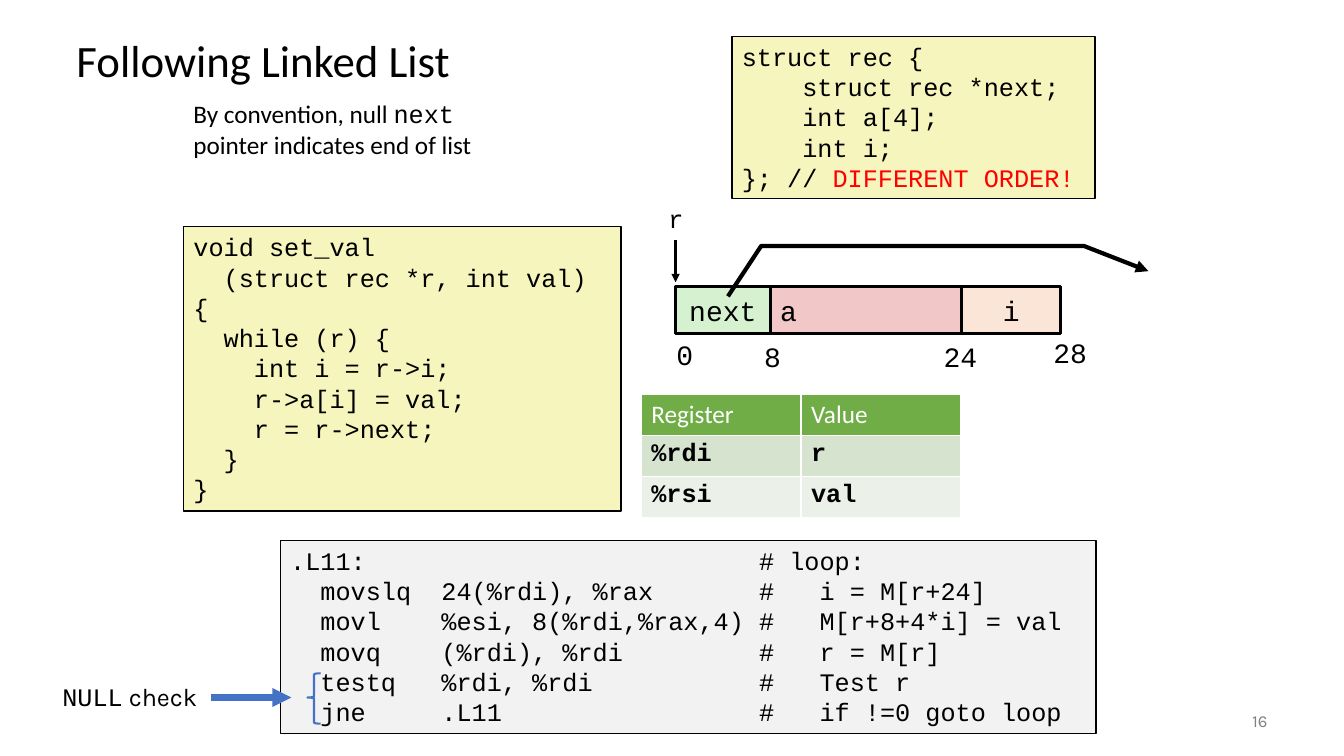
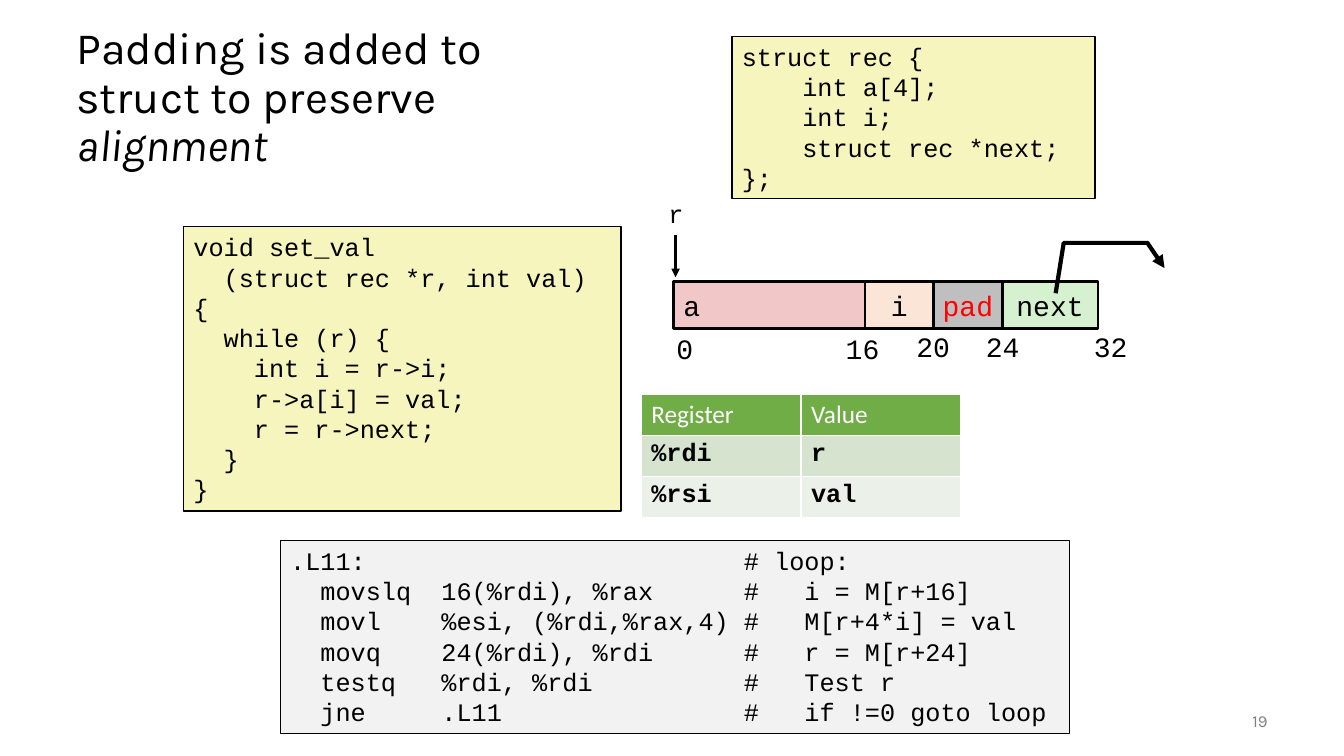
from lxml.etree import SubElement
from pptx import Presentation
from pptx.dml.color import RGBColor
from pptx.enum.shapes import MSO_CONNECTOR, MSO_SHAPE
from pptx.enum.text import MSO_ANCHOR, PP_ALIGN
from pptx.oxml.ns import qn
from pptx.util import Emu, Pt

# Shared look
EMU_PER_PX = 9144  # 100 px to the inch
SANS, MONO, KARLA = "Calibri", "Courier New", "Karla"
BLACK, WHITE, RED, BLUE, GREY = "000000", "FFFFFF", "FF0000", "4472C4", "808080"
CODE_FILL, ASSEMBLY_FILL = "F6F5BD", "F2F2F2"
ARRAY_FILL, INDEX_FILL, NEXT_FILL, PAD_FILL = "F1C7C7", "FBE5D6", "D5F1CF", "BFBFBF"
ROW_FILLS = ["70AD47", "D5E3CF", "EBF1E9"]

# Shared content
SET_VAL = """void set_val
  (struct rec *r, int val)
{
  while (r) {
    int i = r->i;
    r->a[i] = val;
    r = r->next;
  }
}"""
REGISTERS = [("Register", "Value"), ("%rdi", "r"), ("%rsi", "val")]

# Code of the first slide
NEXT_FIRST_STRUCT = """struct rec {
    struct rec *next;
    int a[4];
    int i;"""
NEXT_FIRST_ASSEMBLY = """.L11:                          # loop:
  movslq  24(%rdi), %rax       #   i = M[r+24]
  movl    %esi, 8(%rdi,%rax,4) #   M[r+8+4*i] = val
  movq    (%rdi), %rdi         #   r = M[r]
  testq   %rdi, %rdi           #   Test r
  jne     .L11                 #   if !=0 goto loop"""

# Code of the second slide
NEXT_LAST_STRUCT = """struct rec {
    int a[4];
    int i;
    struct rec *next;
};"""
NEXT_LAST_ASSEMBLY = """.L11:                         # loop:
  movslq  16(%rdi), %rax      #   i = M[r+16]
  movl    %esi, (%rdi,%rax,4) #   M[r+4*i] = val
  movq    24(%rdi), %rdi      #   r = M[r+24]
  testq   %rdi, %rdi          #   Test r
  jne     .L11                #   if !=0 goto loop"""


def px(*lengths):
    return [Emu(length * EMU_PER_PX) for length in lengths]


def rgb(value):
    return RGBColor.from_string(value)


def set_font(font, name=None, size=None, color=None, bold=None, italic=None):
    if name:
        font.name = name
    if size:
        font.size = Pt(size)
    if color:
        font.color.rgb = rgb(color)
    if bold is not None:
        font.bold = bold
    if italic is not None:
        font.italic = italic


def write(frame, lines, name=MONO, size=18, color=BLACK, align=PP_ALIGN.LEFT,
          bold=None, spacing=None):
    """Each line is a string or a list of (text, font changes) spans."""
    for number, line in enumerate(lines):
        para = frame.add_paragraph() if number else frame.paragraphs[0]
        para.alignment = align
        if spacing:
            para.line_spacing = spacing
        set_font(para.font, name, size, color, bold)
        for text, changes in [(line, {})] if isinstance(line, str) else line:
            span = para.add_run()
            span.text = text
            set_font(span.font, **changes)


def add_text(page, area, lines, wrap=True, anchor=MSO_ANCHOR.TOP, **style):
    frame = page.shapes.add_textbox(*px(*area)).text_frame
    frame.word_wrap = wrap
    frame.vertical_anchor = anchor
    write(frame, lines, **style)


def add_box(page, area, fill, lines, line_width=1, wrap=True,
            anchor=MSO_ANCHOR.TOP, **style):
    box = page.shapes.add_shape(MSO_SHAPE.RECTANGLE, *px(*area))
    box.shadow.inherit = False
    box.fill.solid()
    box.fill.fore_color.rgb = rgb(fill)
    set_line(box, BLACK, line_width)
    box.text_frame.word_wrap = wrap
    box.text_frame.vertical_anchor = anchor
    write(box.text_frame, lines, **style)


def set_line(shape, color, width, arrow=False):
    shape.line.color.rgb = rgb(color)
    shape.line.width = Pt(width)
    if arrow:
        outline = shape.element.spPr.find(qn("a:ln"))
        SubElement(outline, qn("a:tailEnd"), type="triangle")


def add_arrow(page, start, end, color, width):
    arrow = page.shapes.add_connector(MSO_CONNECTOR.STRAIGHT, *px(*start, *end))
    set_line(arrow, color, width, arrow=True)
    SubElement(arrow.element.spPr, qn("a:effectLst"))


def add_pointer(page, points):
    start, *others = [px(*point) for point in points]
    builder = page.shapes.build_freeform(*start)
    builder.add_line_segments(others, close=False)
    pointer = builder.convert_to_shape()
    pointer.shadow.inherit = False
    pointer.fill.background()
    set_line(pointer, BLACK, 3, arrow=True)


def add_brace(page, area):
    brace = page.shapes.add_shape(MSO_SHAPE.LEFT_BRACE, *px(*area))
    brace.shadow.inherit = False
    brace.adjustments[0], brace.adjustments[1] = 0.08, 0.48
    brace.fill.background()
    set_line(brace, BLUE, 1.5)


def add_registers(page):
    table = page.shapes.add_table(3, 2, *px(636, 391, 317, 123)).table
    for row, texts in enumerate(REGISTERS):
        header = row == 0
        for column, text in enumerate(texts):
            cell = table.cell(row, column)
            cell.fill.solid()
            cell.fill.fore_color.rgb = rgb(ROW_FILLS[row])
            write(cell.text_frame, [text], name=SANS if header else MONO,
                  color=WHITE if header else BLACK, bold=not header)


def add_memory(page, left, top, fields, offsets, pointer):
    """Draw the record as adjoining fields, with r above and byte offsets below."""
    add_arrow(page, (670, top - 46), (670, top - 4), BLACK, 2)
    add_text(page, (653, top - 87, 35, 40), ["r"], wrap=False)
    for name, width, fill in fields:
        add_box(page, (left, top, width, 47), fill, [name], line_width=2,
                wrap=False, anchor=MSO_ANCHOR.MIDDLE, size=20,
                color=RED if name == "pad" else BLACK,
                align=PP_ALIGN.LEFT if name == "a" else PP_ALIGN.CENTER)
        left += width
    for text, offset_left, offset_top in offsets:
        add_text(page, (offset_left, offset_top, 20 + 17 * len(text), 43),
                 [text], wrap=False, size=20)
    add_pointer(page, pointer)


def add_page(deck, number, title, title_area, title_font, struct, assembly,
             assembly_width):
    """Add a slide with the parts that every slide has."""
    page = deck.slides.add_slide(deck.slide_layouts[6])
    add_box(page, (278, 536, assembly_width, 192), ASSEMBLY_FILL,
            assembly.split("\n"))
    add_box(page, (182, 225, 434, 282), CODE_FILL, SET_VAL.split("\n"))
    add_text(page, title_area, [title], anchor=MSO_ANCHOR.MIDDLE,
             name=title_font, size=32, spacing=0.9)
    add_registers(page)
    add_box(page, (726, 36, 360, 161), CODE_FILL, struct)
    add_text(page, (1167, 695, 100, 40), [str(number)], anchor=MSO_ANCHOR.MIDDLE,
             name=KARLA, size=12, color=GREY, align=PP_ALIGN.RIGHT)
    return page


def add_linked_list(deck):
    last_line = [("}; // ", {}), ("DIFFERENT ORDER!", {"color": RED})]
    page = add_page(deck, 16, "Following Linked List", (66, 25, 1200, 75), SANS,
                    NEXT_FIRST_STRUCT.split("\n") + [last_line],
                    NEXT_FIRST_ASSEMBLY, 809)
    add_memory(page, 670, 284,
               [("next", 94, NEXT_FILL), ("a", 190, ARRAY_FILL),
                ("i", 98, INDEX_FILL)],
               [("0", 661, 330), ("8", 748, 332), ("24", 926, 332),
                ("28", 1035, 328)],
               [(722, 294), (755, 244), (1075, 244), (1139, 269)])
    add_text(page, (182, 93, 299, 71),
             [[("By convention, null ", {}), ("next", {"name": MONO})],
              "pointer indicates end of list"], wrap=False, name=SANS)
    # Null check marker
    add_arrow(page, (209, 692), (289, 692), BLUE, 4.5)
    add_text(page, (52, 671, 174, 40),
             [[("NULL", {}), (" check", {"name": KARLA})]])
    add_brace(page, (305, 668, 13, 50))


def add_padding(deck):
    title = [("Padding is added to struct to preserve ", {}),
             ("alignment", {"italic": True})]
    page = add_page(deck, 19, title, (66, 25, 550, 146), KARLA,
                    NEXT_LAST_STRUCT.split("\n"), NEXT_LAST_ASSEMBLY, 783)
    add_memory(page, 668, 279,
               [("a", 190, ARRAY_FILL), ("i", 68, INDEX_FILL),
                ("pad", 68, PAD_FILL), ("next", 95, NEXT_FILL)],
               [("0", 661, 324), ("16", 829, 324), ("20", 899, 322),
                ("24", 968, 322), ("32", 1075, 322)],
               [(1047, 291), (1055, 241), (1138, 241), (1155, 266)])


def main():
    deck = Presentation()
    deck.slide_width, deck.slide_height = px(1333, 750)
    add_linked_list(deck)
    add_padding(deck)
    deck.save("out.pptx")


if __name__ == "__main__":
    main()
